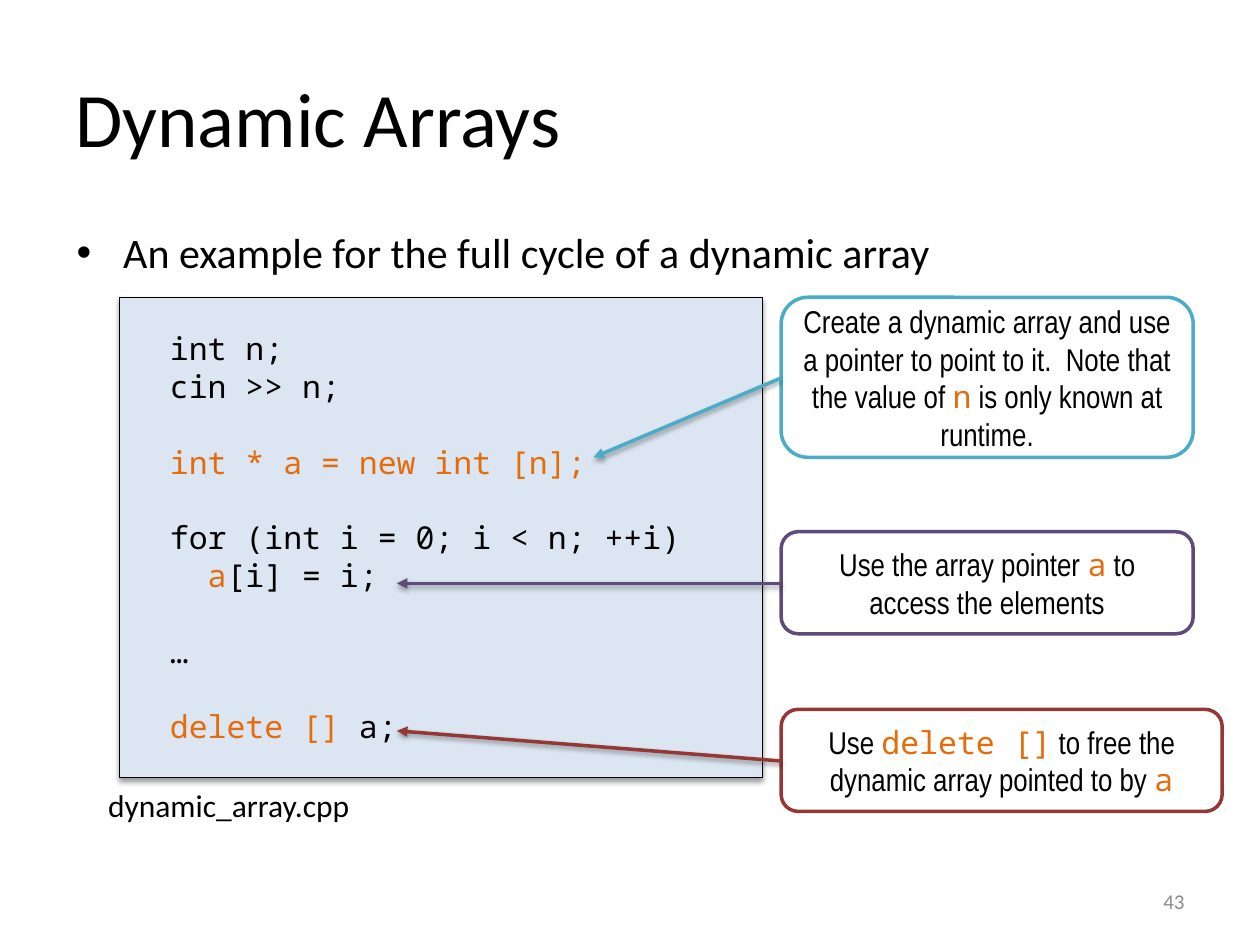
from dataclasses import dataclass

from lxml.etree import SubElement
from pptx import Presentation
from pptx.dml.color import RGBColor
from pptx.enum.shapes import MSO_CONNECTOR, MSO_SHAPE
from pptx.enum.text import MSO_ANCHOR as Anchor, PP_ALIGN as Align
from pptx.oxml.ns import qn
from pptx.util import Inches, Pt

BLACK = RGBColor(0x00, 0x00, 0x00)
WHITE = RGBColor(0xFF, 0xFF, 0xFF)
GREY = RGBColor(0x8B, 0x8B, 0x8B)
ORANGE = RGBColor(0xE4, 0x6C, 0x0A)
PALE_BLUE = RGBColor(0xDC, 0xE6, 0xF2)
TEAL = RGBColor(0x4B, 0xAC, 0xC6)
PURPLE = RGBColor(0x60, 0x4A, 0x7B)
RED = RGBColor(0x95, 0x37, 0x35)

BODY_FONT, NOTE_FONT, CODE_FONT = "Calibri", "Arial Narrow", "Noto Sans Mono"
CODE_LINE = 21.6
NOTE_LEFT = 6.2


@dataclass
class Callout:
    """A note whose |marked| words are code, with an arrow into the listing."""

    text: str
    top: float
    width: float
    height: float
    color: RGBColor
    arrow_start: float
    arrow_tip: tuple[float, float]


CODE_BLOCKS = [
    ["  int n;", "  cin >> n;"],
    ["  |int * a = new int [n];|"],
    ["  for (int i = 0; i < n; ++i)", "    |a|[i] = i;"],
    ["  …"],
    ["  |delete []| a;"],
]
CALLOUTS = [
    Callout("Create a dynamic array and use a pointer to point to it.  Note that "
            "the value of |n| is only known at runtime.",
            2.36, 3.27, 1.27, TEAL, 3, (4.71, 3.63)),
    Callout("Use the array pointer |a| to access the elements",
            4.22, 3.27, 0.81, PURPLE, 4.63, (3.15, 4.63)),
    Callout("Use |delete []| to free the dynamic array pointed to by |a|",
            5.63, 3.5, 0.81, RED, 6.04, (3.15, 5.8)),
]


def write(para, text: str, *, font=BODY_FONT, size=18, color=BLACK, align=Align.LEFT, before=0):
    """Fill a paragraph, setting |marked| words as orange code."""
    para.alignment = align
    para.space_before = Pt(before)
    for index, part in enumerate(text.split("|")):
        if part:
            marked = index % 2 == 1
            span = para.add_run()
            span.text = part
            span.font.name = CODE_FONT if marked else font
            span.font.size = Pt(size)
            span.font.color.rgb = ORANGE if marked else color


def add_text(page, text: str, left, top, width, height, *, anchor=Anchor.TOP, wrap=True, **style):
    """Add a text box and return its paragraph."""
    box = page.shapes.add_textbox(Inches(left), Inches(top), Inches(width), Inches(height))
    box.text_frame.word_wrap = wrap
    box.text_frame.vertical_anchor = anchor
    para = box.text_frame.paragraphs[0]
    write(para, text, **style)
    return para


def add_bullet(para) -> None:
    """Give a paragraph a hanging round bullet."""
    properties = para._p.get_or_add_pPr()
    properties.set("marL", str(Inches(0.38)))
    properties.set("indent", str(Inches(-0.37)))
    SubElement(properties, qn("a:buFont"), typeface="Arial")
    SubElement(properties, qn("a:buChar"), char="•")


def add_panel(page, kind, left, top, width, height, *, fill, line, weight):
    """Add a filled, outlined shape with middle-anchored text."""
    panel = page.shapes.add_shape(kind, Inches(left), Inches(top), Inches(width), Inches(height))
    panel.fill.solid()
    panel.fill.fore_color.rgb = fill
    panel.line.color.rgb = line
    panel.line.width = Pt(weight)
    panel.shadow.inherit = False
    panel.text_frame.word_wrap = True
    panel.text_frame.vertical_anchor = Anchor.MIDDLE
    return panel


def add_shadow(shape) -> None:
    """Cast a soft shadow straight down."""
    properties = shape._element.spPr
    effects = properties.find(qn("a:effectLst"))
    if effects is None:
        effects = SubElement(properties, qn("a:effectLst"))
    shadow = SubElement(effects, qn("a:outerShdw"), blurRad=str(Pt(3.1)), dist=str(Pt(1.6)),
                        dir="5400000", rotWithShape="0")
    color = SubElement(shadow, qn("a:srgbClr"), val="000000")
    SubElement(color, qn("a:alpha"), val="38000")


def add_listing(page) -> None:
    """Draw the code panel, with one line of space between blocks."""
    panel = add_panel(page, MSO_SHAPE.RECTANGLE, 0.95, 2.36, 5.1, 3.81,
                      fill=PALE_BLUE, line=BLACK, weight=0.75)
    add_shadow(panel)
    frame = panel.text_frame
    for block_index, block in enumerate(CODE_BLOCKS):
        for line_index, line in enumerate(block):
            first = block_index == line_index == 0
            para = frame.paragraphs[0] if first else frame.add_paragraph()
            gap = CODE_LINE if block_index and not line_index else 0
            write(para, line, font=CODE_FONT, before=gap)


def add_callout(page, note: Callout) -> None:
    """Draw a note and its arrow."""
    panel = add_panel(page, MSO_SHAPE.ROUNDED_RECTANGLE, NOTE_LEFT, note.top, note.width,
                      note.height, fill=WHITE, line=note.color, weight=2)
    write(panel.text_frame.paragraphs[0], note.text, font=NOTE_FONT, align=Align.CENTER)
    tip_x, tip_y = note.arrow_tip
    arrow = page.shapes.add_connector(MSO_CONNECTOR.STRAIGHT, Inches(NOTE_LEFT),
                                      Inches(note.arrow_start), Inches(tip_x), Inches(tip_y))
    arrow.line.color.rgb = note.color
    arrow.line.width = Pt(2)
    SubElement(arrow.line._get_or_add_ln(), qn("a:tailEnd"), type="triangle")
    add_shadow(arrow)


def main() -> None:
    """Build the slide and save it."""
    deck = Presentation()
    deck.slide_width, deck.slide_height = Inches(10), Inches(7.5)
    page = deck.slides.add_slide(deck.slide_layouts[6])
    add_text(page, "Dynamic Arrays", 0.5, 0.3, 9, 1.25, anchor=Anchor.MIDDLE, size=44)
    add_bullet(add_text(page, "An example for the full cycle of a dynamic array",
                        0.5, 1.75, 9, 4.95, size=24))
    add_text(page, "43", 7.17, 6.95, 2.33, 0.4, anchor=Anchor.MIDDLE, size=12,
             color=GREY, align=Align.RIGHT)
    add_listing(page)
    for note in CALLOUTS:
        add_callout(page, note)
    add_text(page, "dynamic_array.cpp", 0.76, 6.19, 2.54, 0.4, wrap=False)
    deck.save("out.pptx")


if __name__ == "__main__":
    main()
